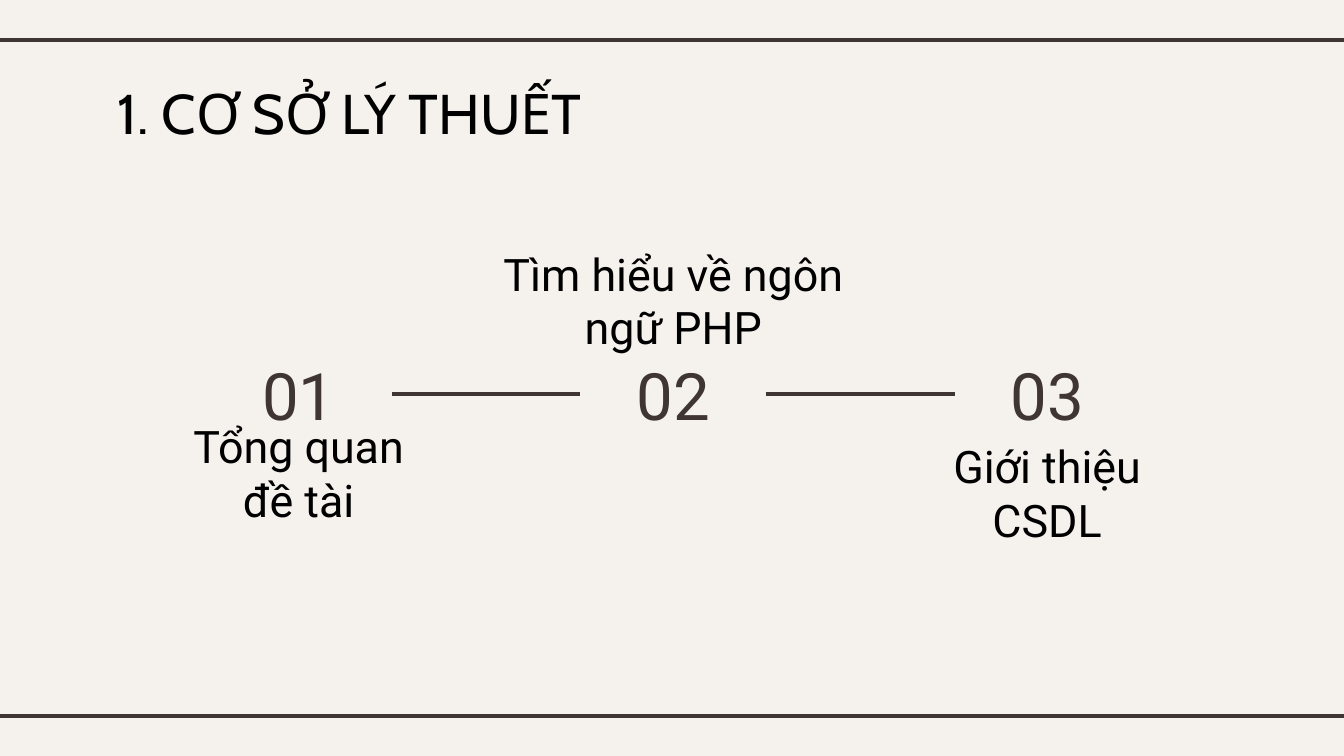
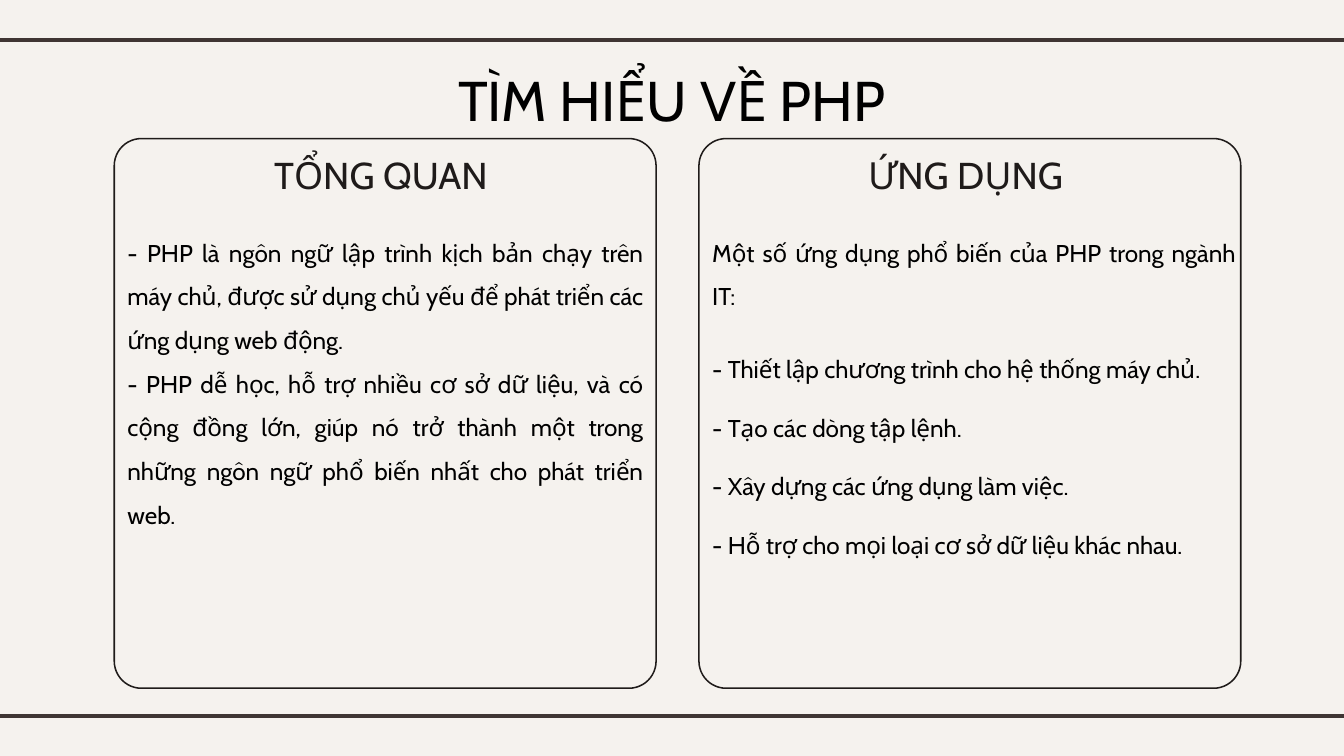
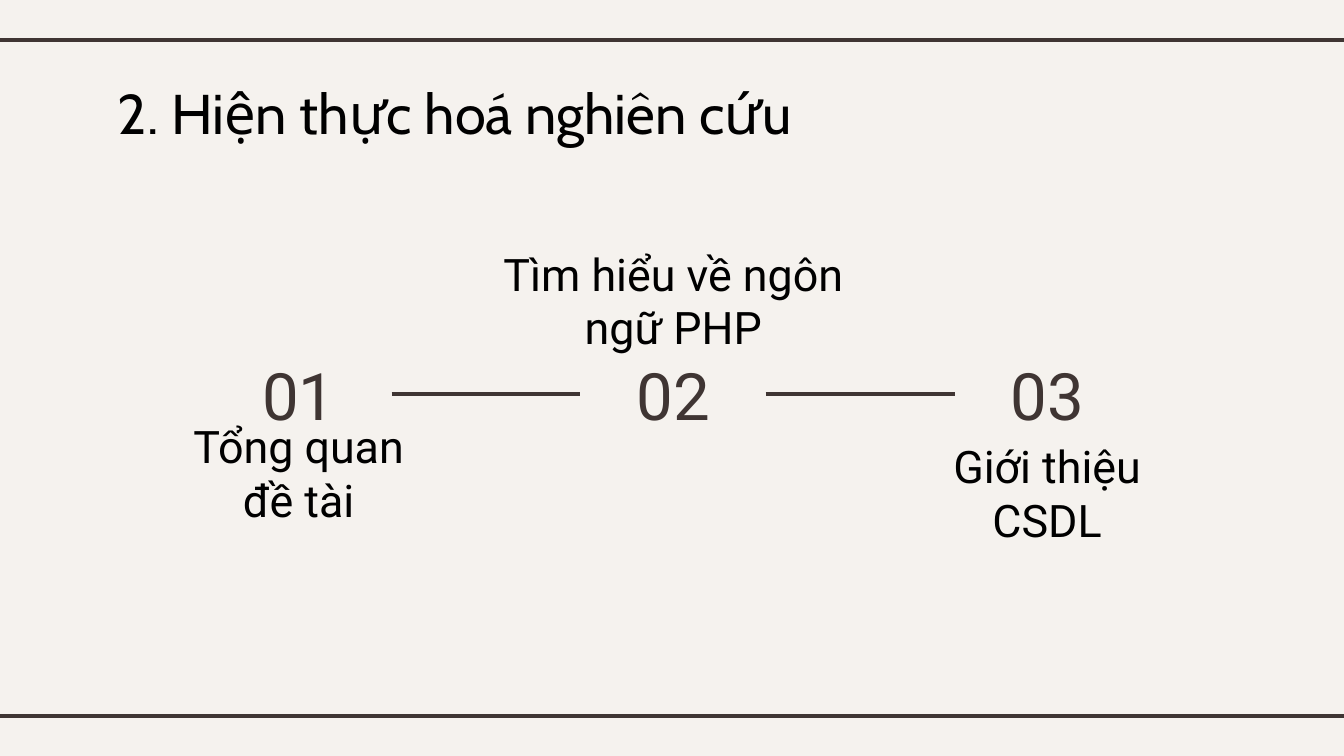
"""Build three slides on PHP: two step overviews and one pair of cards."""
from dataclasses import dataclass

from lxml.etree import SubElement
from pptx import Presentation
from pptx.dml.color import RGBColor
from pptx.enum.shapes import MSO_CONNECTOR as Connector, MSO_SHAPE as Shape
from pptx.enum.text import MSO_ANCHOR as Anchor, PP_ALIGN as Align
from pptx.oxml.ns import qn
from pptx.slide import Slide
from pptx.util import Cm, Pt

PAPER, BROWN, DARK, BLACK = "F5F2EE", "3F3533", "1F1B1A", "000000"
HEADING_FONT, BODY_FONT = "Cabin", "Roboto"
WIDTH, HEIGHT = 25.4, 14.29
BAND_TOPS = (0.76, 13.54)
BAND_OVERHANG = 0.2
STEP_CENTER, STEP_PITCH, STEP_WIDTH = 5.65, 7.07, 3.5
STEP_TOP, STEP_HEIGHT = 6.53, 1.85
CARD_LEFT, CARD_PITCH, CARD_WIDTH = 2.16, 11.05, 10.24
CARD_TOP, CARD_HEIGHT, CARD_HEAD = 2.62, 10.39, 1.35


@dataclass(frozen=True)
class Area:
    """Place and size of a box in centimetres."""
    left: float
    top: float
    width: float
    height: float

    def lengths(self) -> tuple[Cm, Cm, Cm, Cm]:
        """Return the four values as lengths."""
        return Cm(self.left), Cm(self.top), Cm(self.width), Cm(self.height)


@dataclass(frozen=True)
class Style:
    """Look of the text in a box."""
    font: str
    size: int
    color: str
    align: Align = Align.CENTER
    anchor: Anchor = Anchor.MIDDLE
    leading: float = 1.0


@dataclass(frozen=True)
class Line:
    """A paragraph and the gap above it in centimetres."""
    text: str
    gap: float = 0


@dataclass(frozen=True)
class Step:
    """A numbered step and the area of its label."""
    number: str
    label: str
    area: Area


@dataclass(frozen=True)
class Card:
    """A framed heading with body text."""
    heading: str
    lines: tuple[Line, ...]
    body_width: float


TITLE_LEFT = Style(HEADING_FONT, 30, BLACK, Align.LEFT, Anchor.TOP)
TITLE_CENTER = Style(HEADING_FONT, 30, BLACK, Align.CENTER, Anchor.TOP)
CARD_HEADING = Style(HEADING_FONT, 20, DARK)
CARD_BODY = Style(HEADING_FONT, 13, BLACK, Align.JUSTIFY, Anchor.TOP, 1.5)
STEP_NUMBER = Style(BODY_FONT, 35, BROWN)
STEP_LABEL = Style(BODY_FONT, 24, BLACK)

STEPS = (
    Step("01", "Tổng quan đề tài", Area(2.9, 8.41, 5.49, 1.04)),
    Step("02", "Tìm hiểu về ngôn ngữ PHP", Area(9.22, 5.18, 7.01, 0.99)),
    Step("03", "Giới thiệu CSDL", Area(17.4, 8.81, 4.78, 0.99)),
)
CARDS = (
    Card("TỔNG QUAN ", (
        Line("- PHP là ngôn ngữ lập trình kịch bản chạy trên máy chủ, được sử dụng "
             "chủ yếu để phát triển các ứng dụng web động."),
        Line("- PHP dễ học, hỗ trợ nhiều cơ sở dữ liệu, và có cộng đồng lớn, giúp nó "
             "trở thành một trong những ngôn ngữ phổ biến nhất cho phát triển web."),
    ), CARD_WIDTH),
    Card("ỨNG DỤNG ", (
        Line("Một số ứng dụng phổ biến của PHP trong ngành IT:"),
        Line("- Thiết lập chương trình cho hệ thống máy chủ.", 0.55),
        Line("- Tạo các dòng tập lệnh.", 0.28),
        Line("- Xây dựng các ứng dụng làm việc.", 0.28),
        Line("- Hỗ trợ cho mọi loại cơ sở dữ liệu khác nhau.", 0.28),
    ), 10.39),
)


def rgb(value: str) -> RGBColor:
    """Turn a hex string into a colour."""
    return RGBColor.from_string(value)


def set_format(target: object, values: dict[str, object]) -> None:
    """Set each named attribute of the target."""
    for name, value in values.items():
        setattr(target, name, value)


def add_text(page: Slide, area: Area, style: Style, *lines: Line) -> None:
    """Add a text box with one paragraph per line."""
    frame = page.shapes.add_textbox(*area.lengths()).text_frame
    margins = {f"margin_{side}": Cm(0.25) for side in ("left", "top", "right", "bottom")}
    set_format(frame, {"word_wrap": True, "vertical_anchor": style.anchor, **margins})
    for index, line in enumerate(lines):
        para = frame.add_paragraph() if index else frame.paragraphs[0]
        set_format(para, {"alignment": style.align, "line_spacing": style.leading,
                          "space_before": Cm(line.gap)})
        span = para.add_run()
        span.text = line.text
        set_format(span.font, {"name": style.font, "size": Pt(style.size)})
        span.font.color.rgb = rgb(style.color)


def add_rule(page: Slide, start: float, end: float, top: float) -> None:
    """Add a level brown line."""
    rule = page.shapes.add_connector(Connector.STRAIGHT, Cm(start), Cm(top), Cm(end), Cm(top))
    rule.line.width = Pt(2.25)
    rule.line.color.rgb = rgb(BROWN)
    SubElement(rule._element.spPr, qn("a:effectLst"))


def add_page(deck: Presentation, title: str, style: Style, top: float) -> Slide:
    """Add a slide with background, bands and title."""
    page = deck.slides.add_slide(deck.slide_layouts[6])
    page.background.fill.solid()
    page.background.fill.fore_color.rgb = rgb(PAPER)
    for band_top in BAND_TOPS:
        add_rule(page, -BAND_OVERHANG, WIDTH + BAND_OVERHANG, band_top)
    add_text(page, Area(1.98, top, 21.44, 1.6), style, Line(title))
    return page


def add_steps(page: Slide) -> None:
    """Add the numbers, the lines between them and the labels."""
    for index, step in enumerate(STEPS):
        left = STEP_CENTER + index * STEP_PITCH - STEP_WIDTH / 2
        if index:
            add_rule(page, left - STEP_PITCH + STEP_WIDTH, left, STEP_TOP + STEP_HEIGHT / 2)
        add_text(page, Area(left, STEP_TOP, STEP_WIDTH, STEP_HEIGHT), STEP_NUMBER,
                 Line(step.number))
        add_text(page, step.area, STEP_LABEL, Line(step.label))


def add_card(page: Slide, card: Card, left: float) -> None:
    """Add a rounded frame with its heading and body."""
    area = Area(left, CARD_TOP, CARD_WIDTH, CARD_HEIGHT)
    box = page.shapes.add_shape(Shape.ROUNDED_RECTANGLE, *area.lengths())
    box.adjustments[0] = 0.05
    box.shadow.inherit = False
    box.fill.background()
    box.line.width = Pt(0.81)
    box.line.color.rgb = rgb(DARK)
    add_text(page, Area(left, CARD_TOP, CARD_WIDTH, CARD_HEAD), CARD_HEADING,
             Line(card.heading))
    add_text(page, Area(left, CARD_TOP + CARD_HEAD, card.body_width, CARD_HEIGHT - CARD_HEAD),
             CARD_BODY, *card.lines)


def main() -> None:
    """Build and save the deck."""
    deck = Presentation()
    set_format(deck, {"slide_width": Cm(WIDTH), "slide_height": Cm(HEIGHT)})
    add_steps(add_page(deck, "1. CƠ SỞ LÝ THUẾT", TITLE_LEFT, 1.24))
    page = add_page(deck, "TÌM HIỂU VỀ PHP", TITLE_CENTER, 0.99)
    for index, card in enumerate(CARDS):
        add_card(page, card, CARD_LEFT + index * CARD_PITCH)
    add_steps(add_page(deck, "2. Hiện thực hoá nghiên cứu", TITLE_LEFT, 1.24))
    deck.save("out.pptx")


if __name__ == "__main__":
    main()
